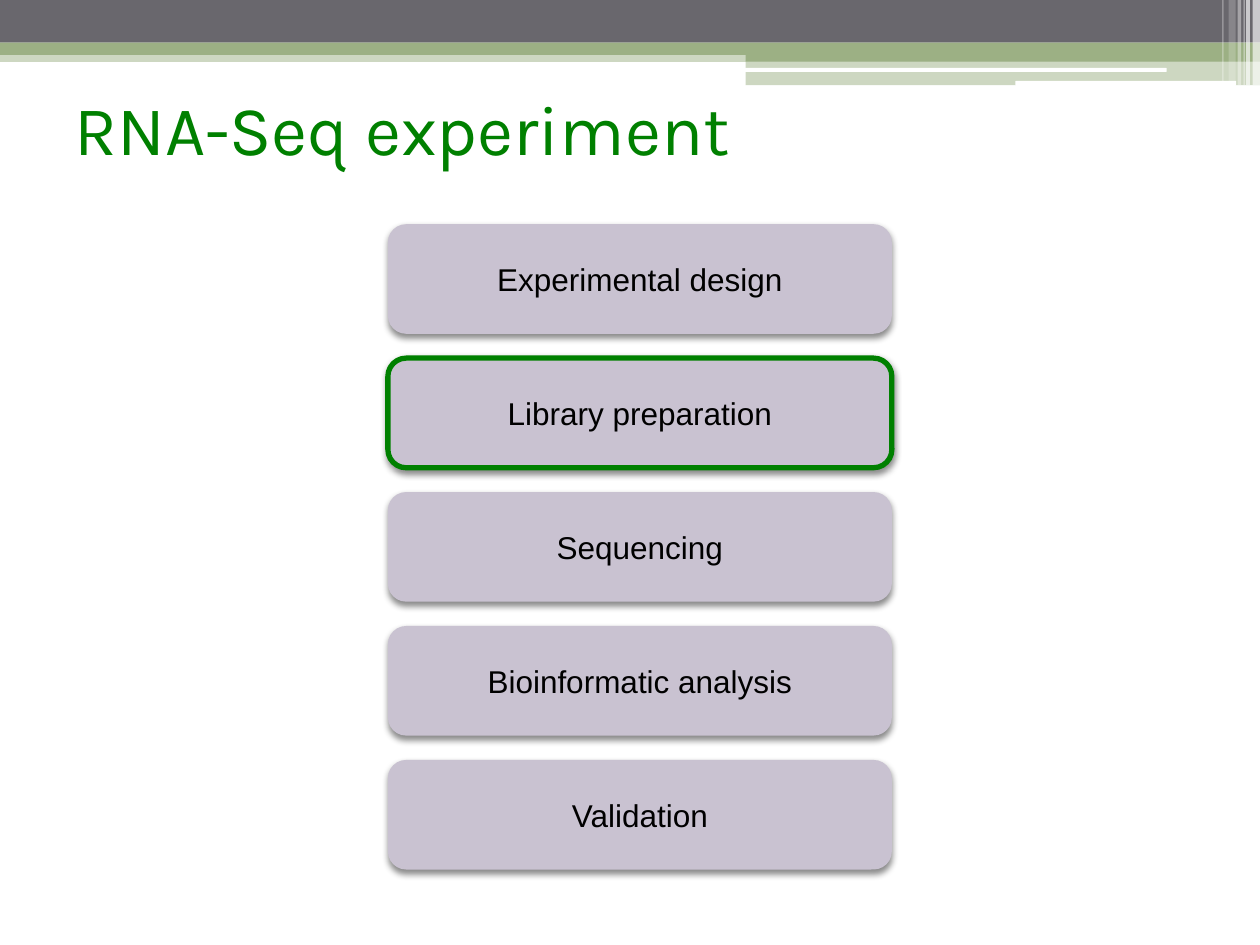
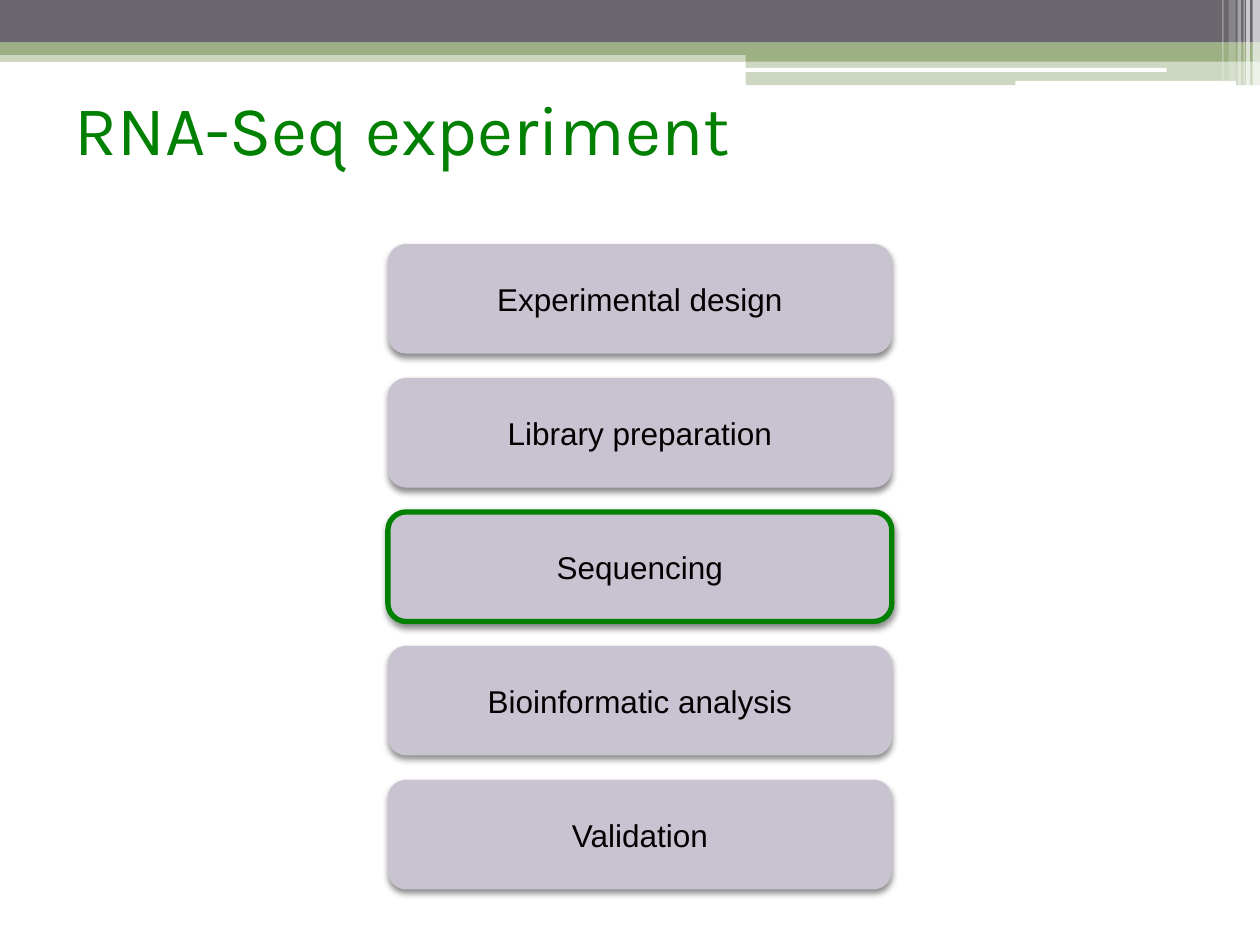
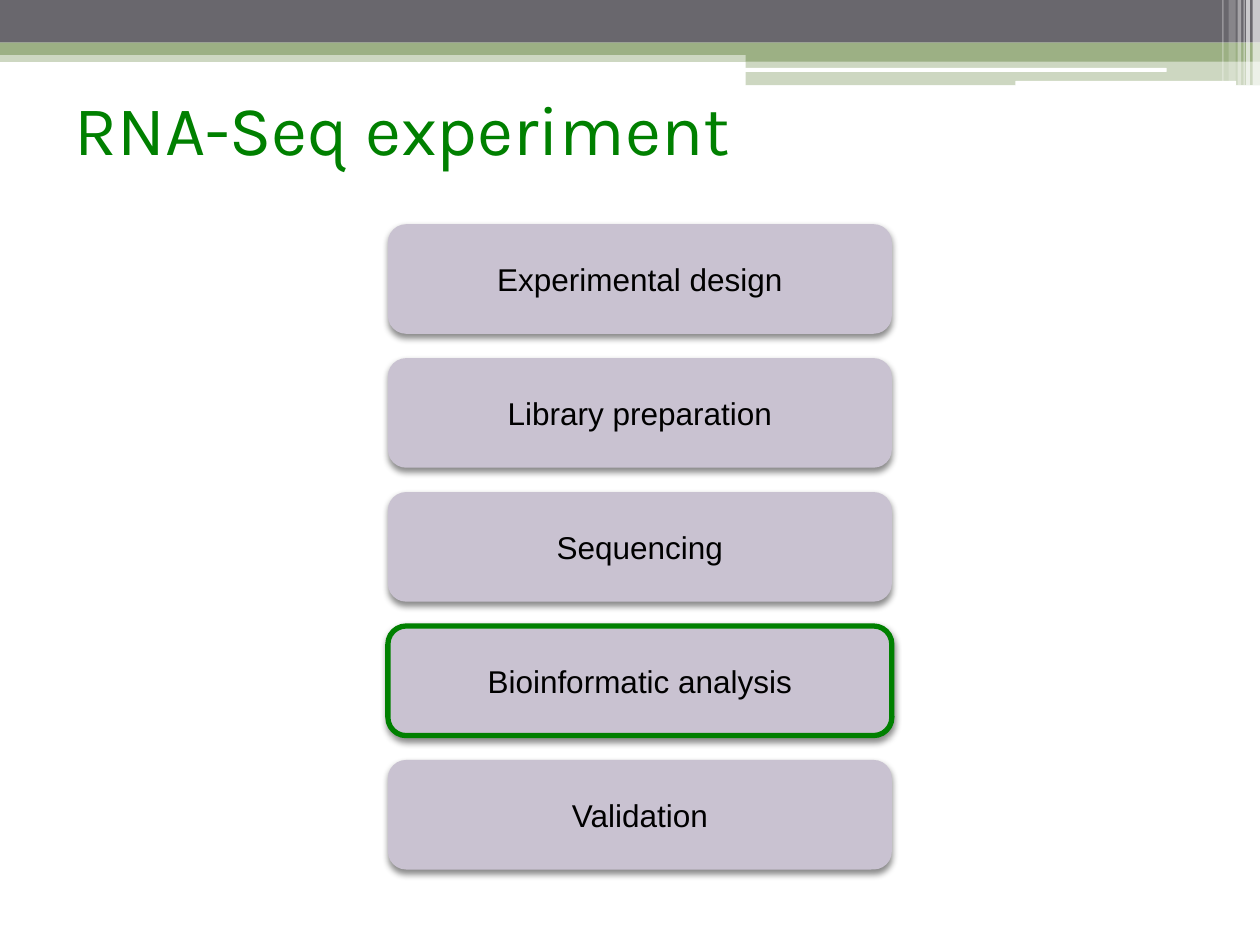
import pptx
import pptx.dml.color
import pptx.enum.shapes
import pptx.enum.text
import pptx.oxml.ns
import pptx.util
from lxml import etree

Cm, Pt = pptx.util.Cm, pptx.util.Pt
qn = pptx.oxml.ns.qn
MSO_SHAPE = pptx.enum.shapes.MSO_SHAPE

COLORS = {
    "grey": "69676D",
    "sage": "9CB084",
    "white": "FFFFFF",
    "green": "008000",
    "lilac": "C9C2D1",
    "black": "000000",
}

# left, top, width, height in cm, colour, opacity in percent
BANDS = [
    (0, 1.02, 25.4, 0.23, "sage", 50),
    (0, 0, 25.4, 0.86, "grey", 100),
    (0, 0.86, 25.4, 0.25, "sage", 100),
    (15.03, 0.99, 10.37, 0.25, "sage", 100),
    (15.03, 1.23, 10.37, 0.49, "sage", 50),
]
ROUNDED_BARS = [
    (15.01, 1.37, 8.51, 0.08, "white", 100),
    (20.47, 1.63, 4.45, 0.1, "white", 100),
]
# left, width, height in cm, opacity in percent
STRIPES = [
    (25.25, 0.15, 1.72, 65),
    (25.12, 0.08, 1.72, 65),
    (25.07, 0.02, 1.72, 60),
    (24.95, 0.07, 1.72, 40),
    (24.77, 0.14, 1.63, 20),
    (24.64, 0.03, 1.63, 30),
]

STEPS = [
    "Experimental design",
    "Library preparation",
    "Sequencing",
    "Bioinformatic analysis",
    "Validation",
]
STEP_LEFT, STEP_WIDTH, STEP_HEIGHT, STEP_PITCH = 7.82, 10.16, 2.21, 2.7

# highlighted step, top of the first step in cm
SLIDES = [
    ("Library preparation", 4.52),
    ("Sequencing", 4.92),
    ("Bioinformatic analysis", 4.52),
]


def rgb(name):
    return pptx.dml.color.RGBColor.from_string(COLORS[name])


class Deck:
    def __init__(self):
        self.prs = pptx.Presentation()
        self.prs.slide_width = Cm(25.4)
        self.prs.slide_height = Cm(19.05)
        self.s = None

    def new_slide(self):
        self.s = self.prs.slides.add_slide(self.prs.slide_layouts[6])
        for band in BANDS:
            self.shape(MSO_SHAPE.RECTANGLE, *band)
        for bar in ROUNDED_BARS:
            self.shape(MSO_SHAPE.ROUNDED_RECTANGLE, *bar)
        for left, width, height, opacity in STRIPES:
            self.shape(MSO_SHAPE.RECTANGLE, left, 0, width, height, "white", opacity)

    def shape(self, kind, left, top, width, height, color, opacity=100):
        sp = self.s.shapes.add_shape(kind, Cm(left), Cm(top), Cm(width), Cm(height))
        sp.shadow.inherit = False
        sp.line.fill.background()
        sp.fill.solid()
        sp.fill.fore_color.rgb = rgb(color)
        if opacity < 100:
            clr = sp._element.spPr.find(qn("a:solidFill")).find(qn("a:srgbClr"))
            etree.SubElement(clr, qn("a:alpha"), val=str(opacity * 1000))
        return sp

    def text(self, tf, text, font, size, color):
        tf.word_wrap = True
        p = tf.paragraphs[0]
        p.text = text
        p.font.name = font
        p.font.size = Pt(size)
        p.font.color.rgb = rgb(color)
        return p

    def title(self, text):
        sp = self.s.shapes.add_textbox(Cm(1.5), Cm(1.73), Cm(23.5), Cm(2.39))
        tf = sp.text_frame
        tf.margin_left = tf.margin_top = tf.margin_right = tf.margin_bottom = 0
        self.text(tf, text, "Karla", 40, "green")

    def drop_shadow(self, sp):
        effects = sp._element.spPr.find(qn("a:effectLst"))
        shadow = etree.SubElement(
            effects, qn("a:outerShdw"), blurRad=str(Pt(4)), dist=str(Pt(2)),
            dir="5400000", rotWithShape="0")
        clr = etree.SubElement(shadow, qn("a:srgbClr"), val=COLORS["black"])
        etree.SubElement(clr, qn("a:alpha"), val="45000")

    def step(self, text, top, highlighted):
        sp = self.shape(MSO_SHAPE.ROUNDED_RECTANGLE, STEP_LEFT, top,
                        STEP_WIDTH, STEP_HEIGHT, "lilac")
        self.drop_shadow(sp)
        if highlighted:
            sp.line.color.rgb = rgb("green")
            sp.line.width = Pt(3)
        sp.text_frame.vertical_anchor = pptx.enum.text.MSO_ANCHOR.MIDDLE
        p = self.text(sp.text_frame, text, "Arial", 18, "black")
        p.alignment = pptx.enum.text.PP_ALIGN.CENTER


def main():
    deck = Deck()
    for current, first_top in SLIDES:
        deck.new_slide()
        deck.title("RNA-Seq experiment")
        for i, step in enumerate(STEPS):
            deck.step(step, first_top + i * STEP_PITCH, step == current)
    deck.prs.save("out.pptx")


if __name__ == "__main__":
    main()
